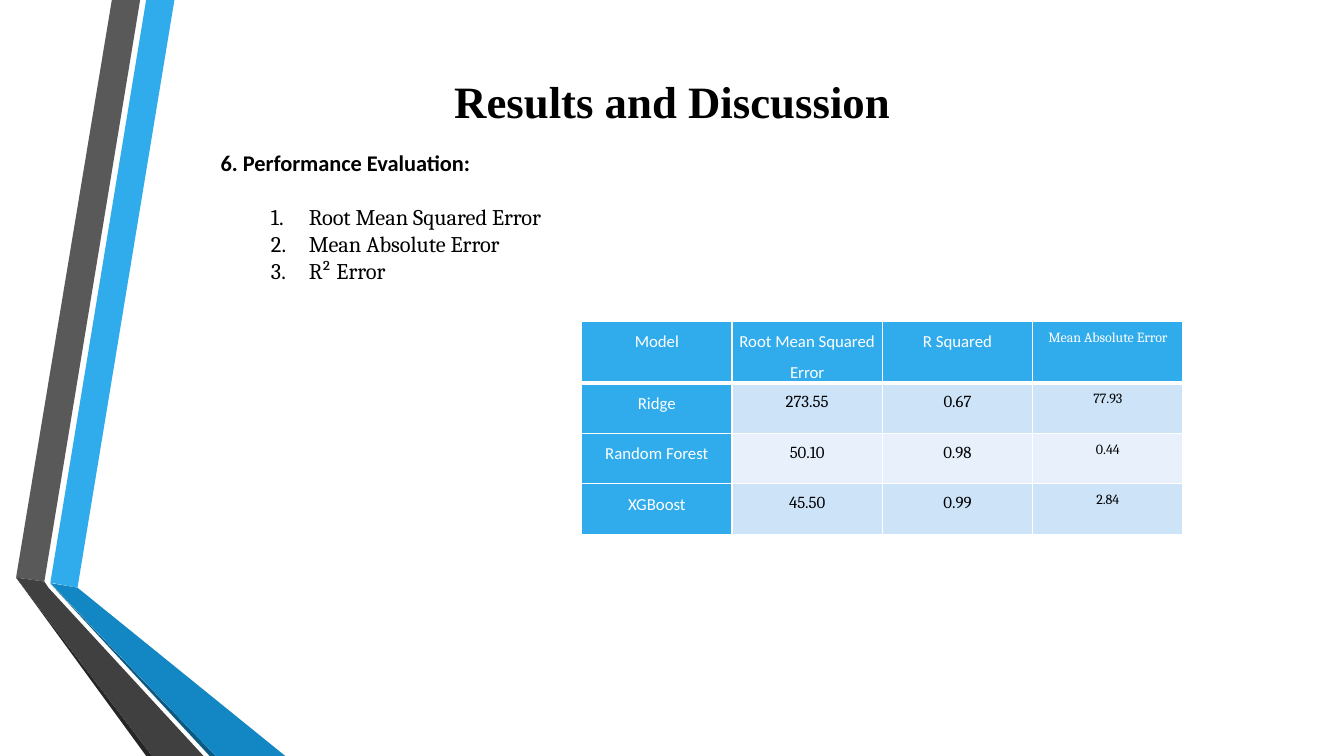
"""Build the Results and Discussion slide with its model comparison table."""
import dataclasses
import typing

import pptx
import pptx.dml.color
import pptx.enum.text
import pptx.oxml
import pptx.oxml.ns
import pptx.util

Pt = pptx.util.Pt
CENTER = pptx.enum.text.PP_ALIGN.CENTER
MIDDLE = pptx.enum.text.MSO_ANCHOR.MIDDLE
TOP = pptx.enum.text.MSO_ANCHOR.TOP
SKY, WHITE, BLACK = "30ACEC", "FFFFFF", "000000"
BANDS = ("CDE3F8", "E8F1FB")


@dataclasses.dataclass(frozen=True)
class Ribbon:
    color: str
    corners: tuple[tuple[float, float], ...]


@dataclasses.dataclass(frozen=True)
class Lettering:
    name: str
    size: float
    color: str = BLACK
    bold: bool = False


RIBBONS = (
    Ribbon(SKY, ((36, 416.2), (55.4, 419.8), (124.6, 0), (104.4, 0))),
    Ribbon("595959", ((100.1, 0), (79.9, 0), (11.5, 412.6), (31.7, 415.4))),
    Ribbon("262626", ((11.5, 412.6), (104.4, 540), (108.7, 540))),
    Ribbon("0C5A82", ((36, 416.9), (149.8, 540), (154.1, 540))),
    Ribbon("1287C3", ((36, 416.5), (154.1, 540), (203.8, 540), (55.4, 419.8))),
    Ribbon("404040", ((145.4, 540), (34.6, 419.8), (31.7, 415.4),
                      (11.5, 412.6), (108.7, 540))),
)
METRICS = ("Root Mean Squared Error", "Mean Absolute Error", "R² Error")
SCORES = (
    ("Model", "Root Mean Squared Error", "R Squared", "Mean Absolute Error"),
    ("Ridge", "273.55", "0.67", "77.93"),
    ("Random Forest", "50.10", "0.98", "0.44"),
    ("XGBoost", "45.50", "0.99", "2.84"),
)
CELL_PARAGRAPH = {"alignment": CENTER, "line_spacing": 1.5, "space_before": Pt(12)}
CELL_MARGINS = {"margin_left": Pt(5), "margin_right": Pt(5),
                "margin_top": Pt(0), "margin_bottom": Pt(0)}


def rgb(color: str) -> pptx.dml.color.RGBColor:
    return pptx.dml.color.RGBColor.from_string(color)


def apply_format(target: typing.Any, values: dict[str, typing.Any]) -> None:
    for attribute, value in values.items():
        setattr(target, attribute, value)


def write(paragraph: typing.Any, text: str, lettering: Lettering) -> None:
    run = paragraph.add_run()
    run.text = text
    apply_format(run.font, {"name": lettering.name, "size": Pt(lettering.size),
                            "bold": lettering.bold})
    run.font.color.rgb = rgb(lettering.color)


def draw_ribbon(slide: typing.Any, ribbon: Ribbon) -> None:
    start, *rest = [(Pt(x), Pt(y)) for x, y in ribbon.corners]
    outline = slide.shapes.build_freeform(*start)
    outline.add_line_segments(rest, close=True)
    band = outline.convert_to_shape()
    band.shadow.inherit = False
    band.fill.solid()
    band.fill.fore_color.rgb = rgb(ribbon.color)
    band.line.fill.background()


def add_title(slide: typing.Any) -> None:
    title = slide.shapes.title
    apply_format(title, {"left": Pt(66.24), "top": Pt(28.8),
                         "width": Pt(828), "height": Pt(86.4)})
    title.text_frame.vertical_anchor = MIDDLE
    heading = title.text_frame.paragraphs[0]
    heading.alignment = CENTER
    write(heading, "Results and Discussion",
          Lettering("Times New Roman", 32, bold=True))


def number_item(paragraph: typing.Any) -> None:
    properties = paragraph._p.get_or_add_pPr()
    properties.set("marL", str(Pt(63)))
    properties.set("indent", str(-Pt(27)))
    properties.append(pptx.oxml.parse_xml(
        f'<a:buFont {pptx.oxml.ns.nsdecls("a")} typeface="+mj-lt"/>'))
    properties.append(pptx.oxml.parse_xml(
        f'<a:buAutoNum {pptx.oxml.ns.nsdecls("a")} type="arabicPeriod"/>'))


def add_metrics(slide: typing.Any) -> None:
    evaluation = slide.shapes.add_textbox(
        Pt(150.5), Pt(103), Pt(480.2), Pt(104.4)).text_frame
    evaluation.word_wrap = True
    write(evaluation.paragraphs[0], "6. Performance Evaluation:",
          Lettering("Calibri", 16, bold=True))
    for index, metric in enumerate(METRICS):
        item = evaluation.add_paragraph()
        apply_format(item, {"level": 1, "space_before": Pt(0 if index else 19.5)})
        number_item(item)
        write(item, metric, Lettering("Cambria", 16))


def add_borders(cell: typing.Any, bottom: float) -> None:
    properties = cell._tc.get_or_add_tcPr()
    widths = {"lnL": 1, "lnR": 1, "lnT": 1, "lnB": bottom}
    for position, (side, width) in enumerate(widths.items()):
        properties.insert(position, pptx.oxml.parse_xml(
            f'<a:{side} {pptx.oxml.ns.nsdecls("a")} w="{Pt(width)}">'
            f'<a:solidFill><a:srgbClr val="{WHITE}"/></a:solidFill></a:{side}>'))


def fill_cell(cell: typing.Any, text: str, row: int, column: int) -> None:
    is_label = row == 0 or column == 0
    is_error = column == 3
    lettering = Lettering(
        "Calibri" if is_label and not is_error else "Cambria",
        10 if is_error else 12, WHITE if is_label else BLACK)
    apply_format(cell, CELL_MARGINS | {"vertical_anchor": TOP})
    cell.fill.solid()
    cell.fill.fore_color.rgb = rgb(SKY if is_label else BANDS[(row - 1) % 2])
    add_borders(cell, 1 if row else 3)
    paragraph = cell.text_frame.paragraphs[0]
    apply_format(paragraph, CELL_PARAGRAPH)
    write(paragraph, text, lettering)


def add_scores(slide: typing.Any) -> None:
    scores = slide.shapes.add_table(
        len(SCORES), len(SCORES[0]), Pt(415.5), Pt(229.7), Pt(429.6), Pt(147.6)).table
    for column in scores.columns:
        column.width = Pt(107.4)
    for row, values in enumerate(SCORES):
        scores.rows[row].height = Pt(36 if row else 39.6)
        for column, text in enumerate(values):
            fill_cell(scores.cell(row, column), text, row, column)


def main() -> None:
    deck = pptx.Presentation()
    apply_format(deck, {"slide_width": Pt(960), "slide_height": Pt(540)})
    slide = deck.slides.add_slide(deck.slide_layouts[5])
    for ribbon in RIBBONS:
        draw_ribbon(slide, ribbon)
    add_title(slide)
    add_scores(slide)
    add_metrics(slide)
    deck.save("out.pptx")


if __name__ == "__main__":
    main()
